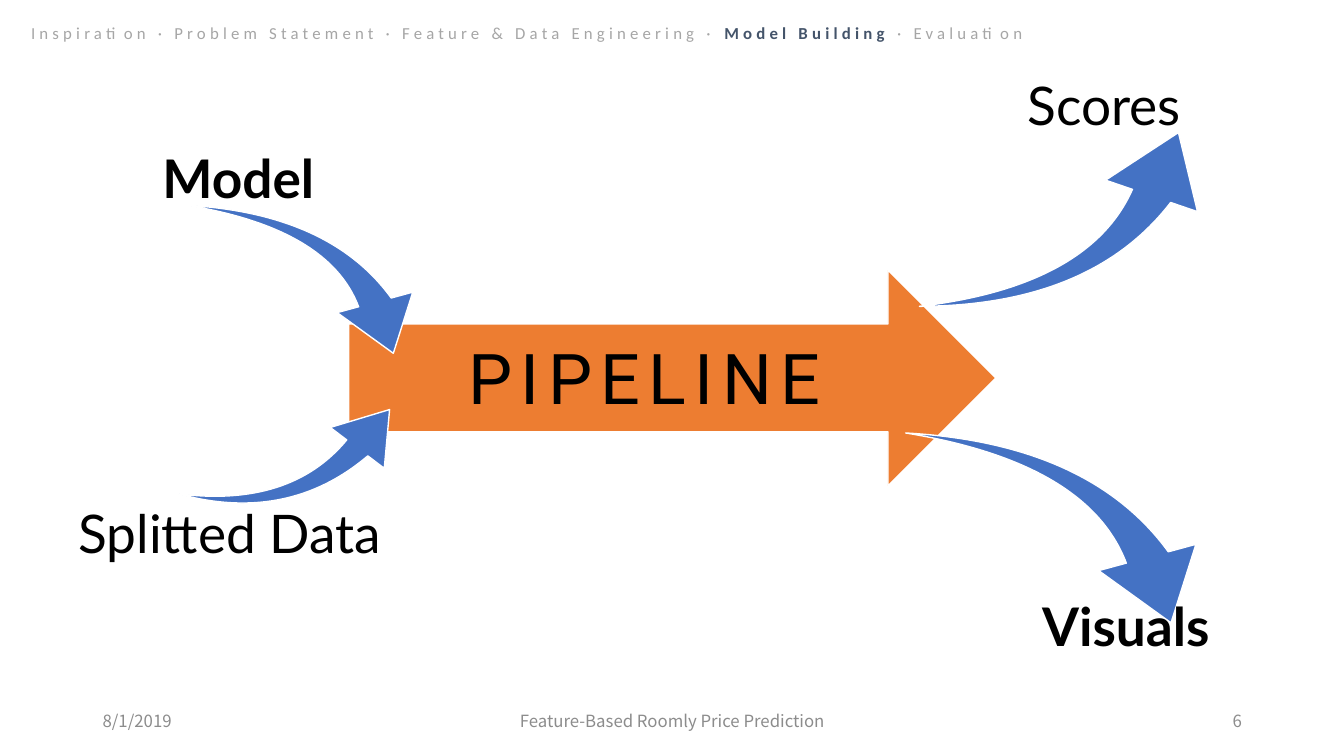
from pptx import Presentation
from pptx import util as u
from pptx.dml import color
from pptx.enum import shapes, text

ORANGE = color.RGBColor(0xED, 0x7D, 0x31)
BLUE = color.RGBColor(0x44, 0x72, 0xC4)
NAVY = color.RGBColor(0x44, 0x54, 0x6A)
SILVER = color.RGBColor(0xA6, 0xA6, 0xA6)
GRAY = color.RGBColor(0x8C, 0x8C, 0x8C)
BLACK = color.RGBColor(0, 0, 0)
WHITE = color.RGBColor(255, 255, 255)

deck = Presentation()
deck.slide_width, deck.slide_height = u.Inches(13.333), u.Inches(7.5)
page = deck.slides.add_slide(deck.slide_layouts[6])

# Grid of 80 columns and 45 rows
COLUMN, ROW = deck.slide_width / 80, deck.slide_height / 45


def add_arrow(preset, cells, fill):
    left, top, width, height = cells
    arrow = page.shapes.add_shape(preset, int(left * COLUMN), int(top * ROW),
                                  int(width * COLUMN), int(height * ROW))
    arrow.shadow.inherit = False
    arrow.fill.solid()
    arrow.fill.fore_color.rgb = fill
    arrow.line.color.rgb = WHITE
    arrow.line.width = u.Pt(1)
    return arrow


def add_text(cells, spans, font, frame, para_format, spacing=0):
    left, top, width, height = cells
    box = page.shapes.add_textbox(int(left * COLUMN), int(top * ROW),
                                  int(width * COLUMN), int(height * ROW))
    para = box.text_frame.paragraphs[0]
    for target, values in ((box.text_frame, {"word_wrap": True, **frame}),
                           (para, para_format)):
        for name, value in values.items():
            setattr(target, name, value)
    for words, rgb, bold in spans:
        span = para.add_run()
        span.text = words
        for name, value in {**font, "bold": bold}.items():
            setattr(span.font, name, value)
        span.font.color.rgb = rgb
        if spacing:
            span._r.get_or_add_rPr().set("spc", str(spacing * 100))


CENTER = {"alignment": text.PP_ALIGN.CENTER}
TIGHT = {**CENTER, "line_spacing": 0.9}
MIDDLE = {"vertical_anchor": text.MSO_ANCHOR.MIDDLE}
SIDES = ("left", "right", "top", "bottom")

# Pipeline
add_arrow(shapes.MSO_SHAPE.RIGHT_ARROW, (20.76, 16.08, 38.52, 12.84), ORANGE)
add_text((23.22, 19.8, 30.3, 5.82), [("PIPELINE", BLACK, False)],
         {"name": "Roboto", "size": u.Pt(50)},
         {**MIDDLE, **{f"margin_{side}": 0 for side in SIDES}}, TIGHT, spacing=6)

# Inputs and outputs: swoosh, rotation, mirrored, label, label cells, bold
FLOWS = [
    ((12.18, 22.38, 10.74, 9.78), 120.7, True,
     "Splitted Data", (2.4, 29.82, 22.56, 4.08), False),
    ((12.84, 10.26, 10.56, 12.48), 81.3, False,
     "Model", (8.4, 8.82, 11.58, 3.96), True),
    ((56.76, 5.82, 13.44, 14.94), 102.5, True,
     "Scores", (58.98, 3.96, 13.5, 4.5), False),
    ((56.1, 23.22, 13.56, 16.08), 81.3, False,
     "Visuals", (59.58, 34.38, 14.88, 5.1), True),
]
LABEL_FRAME = {"vertical_anchor": text.MSO_ANCHOR.BOTTOM,
               **{f"margin_{side}": u.Inches(0.05) for side in SIDES}}
for cells, rotation, mirrored, label, label_cells, bold in FLOWS:
    swoosh = add_arrow(shapes.MSO_SHAPE.SWOOSH_ARROW, cells, BLUE)
    swoosh.adjustments[0], swoosh.adjustments[1] = 0.16, 0.31
    swoosh.rotation = rotation
    if mirrored:
        swoosh._element.spPr.xfrm.set("flipH", "1")
    add_text(label_cells, [(label, BLACK, bold)],
             {"name": "Lato", "size": u.Pt(38)}, LABEL_FRAME, TIGHT)

# Agenda with the current section highlighted
add_text((1.26, 1.08, 61.08, 1.8),
         [("Inspiration · Problem Statement · Feature & Data Engineering · ", SILVER, False),
          ("Model Building ", NAVY, True),
          ("· Evaluation", SILVER, False)],
         {"name": "Calibri", "size": u.Pt(12)}, {}, {}, spacing=3)

# Footer
for left, width, words, alignment in (
        (5.52, 18, "8/1/2019", text.PP_ALIGN.LEFT),
        (26.52, 27, "Feature-Based Roomly Price Prediction", text.PP_ALIGN.CENTER),
        (56.52, 18, "6", text.PP_ALIGN.RIGHT)):
    add_text((left, 41.7, width, 2.4), [(words, GRAY, False)],
             {"name": "Noto Sans CJK SC", "size": u.Pt(12)}, MIDDLE,
             {"alignment": alignment})

deck.save("out.pptx")
